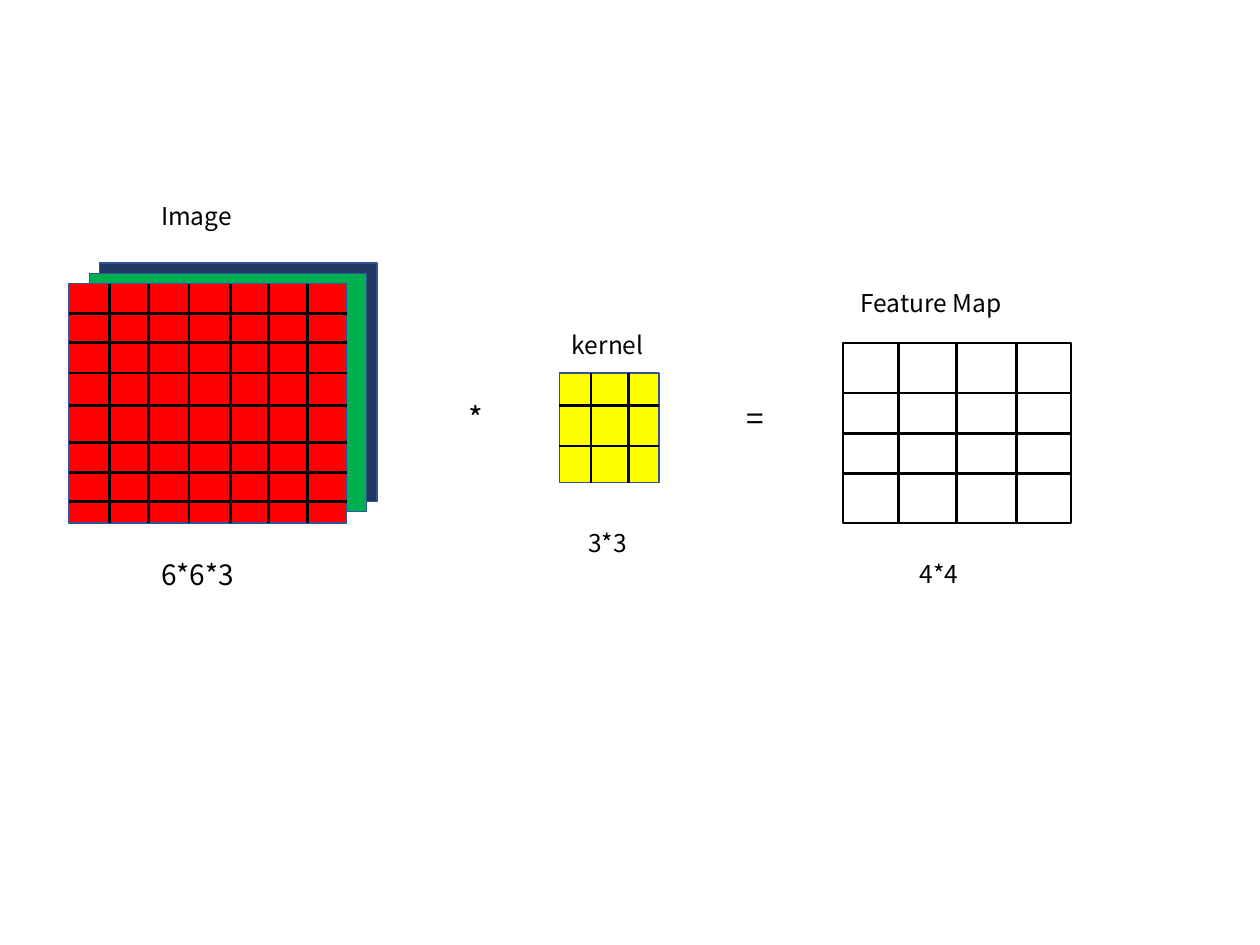
import dataclasses

import pptx
import pptx.dml.color
import pptx.enum.shapes
import pptx.enum.text
import pptx.util
from pptx.oxml.ns import qn
from lxml import etree

Inches = pptx.util.Inches


@dataclasses.dataclass(frozen=True)
class Theme:
    """Colours, type sizes and line widths of the slide."""
    font: str = "Noto Sans CJK SC"
    ink: str = "000000"
    outline: str = "325491"
    blue: str = "203864"
    green: str = "00B050"
    red: str = "FF0000"
    yellow: str = "FFFF00"
    white: str = "FFFFFF"
    label: int = 14
    size: int = 16
    operator: int = 18
    border: float = 1
    rule: float = 1.5


THEME = Theme()


def color(value):
    """Turn a hex string into a colour."""
    return pptx.dml.color.RGBColor.from_string(value)


def apply_format(target, values):
    """Set every attribute named in a dict of format values."""
    for name, value in values.items():
        setattr(target, name, value)


def add_panel(page, area, fill, outline):
    """Draw a filled and outlined rectangle."""
    panel = page.shapes.add_shape(
        pptx.enum.shapes.MSO_SHAPE.RECTANGLE, *map(Inches, area))
    panel.shadow.inherit = False
    panel.fill.solid()
    panel.fill.fore_color.rgb = color(fill)
    panel.line.color.rgb = color(outline)
    panel.line.width = pptx.util.Pt(THEME.border)


def add_rule(page, start, end):
    """Draw one straight grid line."""
    rule = page.shapes.add_connector(
        pptx.enum.shapes.MSO_CONNECTOR.STRAIGHT, *map(Inches, start + end))
    rule.line.color.rgb = color(THEME.ink)
    rule.line.width = pptx.util.Pt(THEME.rule)
    etree.SubElement(rule._element.spPr, qn("a:effectLst"))


def add_grid(page, area, fill, outline, rows, columns):
    """Draw a panel crossed by rules at the given heights and positions."""
    left, top, width, height = area
    add_panel(page, area, fill, outline)
    for y in rows:
        add_rule(page, (left, y), (left + width, y))
    for x in columns:
        add_rule(page, (x, top), (x, top + height))


def add_label(page, text, area, size):
    """Write one line of text in a box."""
    box = page.shapes.add_textbox(*map(Inches, area))
    apply_format(box.text_frame, {
        "word_wrap": True,
        "auto_size": pptx.enum.text.MSO_AUTO_SIZE.SHAPE_TO_FIT_TEXT,
    })
    span = box.text_frame.paragraphs[0].add_run()
    span.text = text
    apply_format(span.font, {"name": THEME.font, "size": pptx.util.Pt(size)})
    span.font.color.rgb = color(THEME.ink)


def main():
    """Build the convolution slide."""
    deck = pptx.Presentation()
    apply_format(deck, {"slide_width": Inches(10), "slide_height": Inches(7.5)})
    page = deck.slides.add_slide(deck.slide_layouts[6])

    add_panel(page, (0.79, 2.09, 2.2, 1.89), THEME.blue, THEME.outline)
    add_panel(page, (0.71, 2.17, 2.2, 1.89), THEME.green, THEME.outline)
    add_grid(page, (0.55, 2.25, 2.2, 1.9), THEME.red, THEME.outline,
             (2.49, 2.72, 2.96, 3.22, 3.51, 3.75, 3.98),
             (0.87, 1.18, 1.5, 1.83, 2.13, 2.44))
    add_grid(page, (4.44, 2.96, 0.79, 0.87), THEME.yellow, THEME.outline,
             (3.22, 3.54), (4.69, 4.99))
    add_grid(page, (6.69, 2.72, 1.81, 1.43), THEME.white, THEME.ink,
             (3.12, 3.44, 3.76), (7.13, 7.59, 8.07))

    labels = (
        ("Image", (1.18, 1.55, 1.14, 0.34), THEME.label),
        ("6*6*3", (1.18, 4.38, 0.94, 0.37), THEME.size),
        ("*", (3.62, 3.12, 0.39, 0.4), THEME.operator),
        ("kernel", (4.44, 2.57, 0.83, 0.34), THEME.label),
        ("3*3", (4.57, 4.14, 0.59, 0.34), THEME.label),
        ("=", (5.83, 3.12, 0.63, 0.4), THEME.operator),
        ("Feature Map", (6.73, 2.24, 1.46, 0.34), THEME.label),
        ("4*4", (7.2, 4.39, 0.87, 0.34), THEME.label),
    )
    for text, area, size in labels:
        add_label(page, text, area, size)

    deck.save("out.pptx")


if __name__ == "__main__":
    main()
